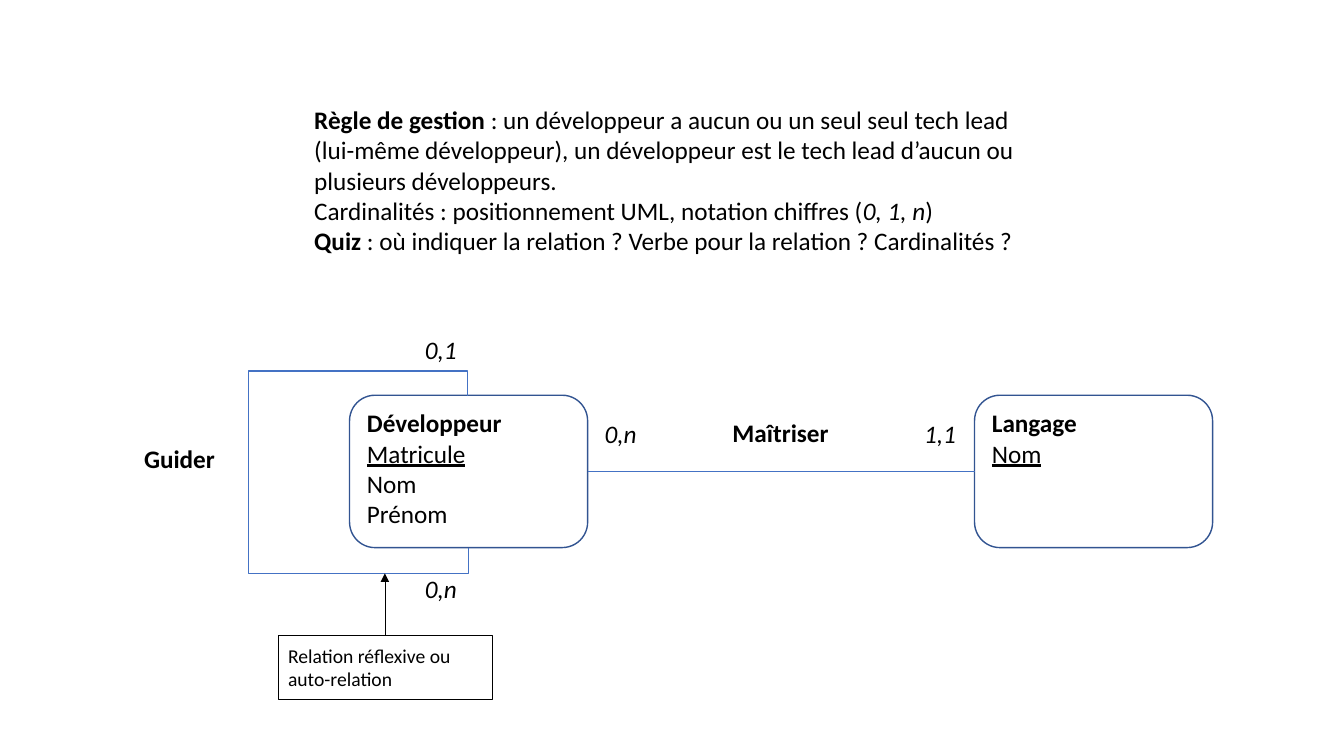
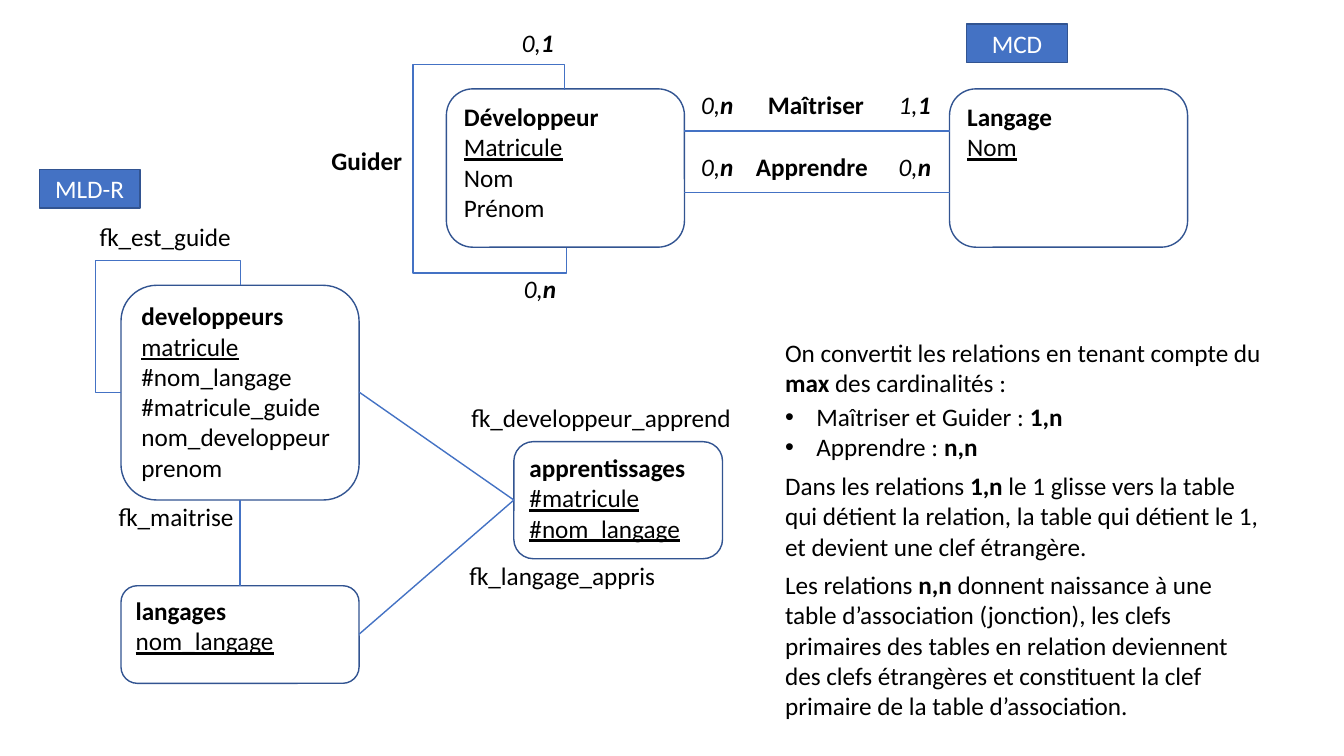
from itertools import groupby
from lxml.etree import SubElement
from pptx import Presentation
from pptx.dml.color import RGBColor
from pptx.enum.shapes import MSO_CONNECTOR, MSO_SHAPE
from pptx.enum.text import MSO_ANCHOR, MSO_AUTO_SIZE, PP_ALIGN
from pptx.oxml.ns import qn
from pptx.util import Cm, Pt

HUES = {"ink": "000000", "paper": "FFFFFF", "blue": "4472C4", "edge": "325491"}
MARKS = {"*": "bold", "~": "italic", "^": "underline"}
DEV = ["*Développeur", "^Matricule", "Nom", "Prénom"]
LANG = ["*Langage", "^Nom"]


def hue(name):
    return RGBColor.from_string(HUES[name])


def apply(item, form):
    for name, value in form.items():
        setattr(item, name, value)


class Deck:
    font = {"name": "Calibri", "size": Pt(18)}
    label = {"word_wrap": False, "auto_size": MSO_AUTO_SIZE.SHAPE_TO_FIT_TEXT}
    block = {"word_wrap": True, "auto_size": MSO_AUTO_SIZE.NONE,
             "vertical_anchor": MSO_ANCHOR.TOP}
    middle = {**block, "vertical_anchor": MSO_ANCHOR.MIDDLE}

    def __init__(self):
        self.show = Presentation()
        apply(self.show, {"slide_width": Cm(33.87), "slide_height": Cm(19.05)})

    def page(self, layout):
        self.slide = self.show.slides.add_slide(self.show.slide_layouts[layout])
        self.shapes = self.slide.shapes

    def put(self, frame, lines, form, size=18, ink="ink", align=PP_ALIGN.LEFT):
        apply(frame, form)
        for num, line in enumerate(lines):
            para = frame.add_paragraph() if num else frame.paragraphs[0]
            para.alignment = align
            marks = set()
            for mark, chars in groupby(line, lambda c: c if c in MARKS else ""):
                if mark:
                    marks ^= {MARKS[mark]}
                    continue
                run = para.add_run()
                run.text = "".join(chars)
                apply(run.font, {**self.font, "size": Pt(size),
                                 **dict.fromkeys(marks, True)})
                run.font.color.rgb = hue(ink)

    def text(self, left, top, width, *lines, height=1.03, form=label):
        box = self.shapes.add_textbox(Cm(left), Cm(top), Cm(width), Cm(height))
        self.put(box.text_frame, lines, form)

    def pen(self, line, color, width):
        line.color.rgb = hue(color)
        line.width = Pt(width)

    def box(self, kind, area, fill=None, edge="edge", width=1):
        shape = self.shapes.add_shape(kind, *map(Cm, area))
        shape.shadow.inherit = False
        if fill:
            shape.fill.solid()
            shape.fill.fore_color.rgb = hue(fill)
        else:
            shape.fill.background()
        self.pen(shape.line, edge, width)
        return shape.text_frame

    def card(self, area, lines, fill=None):
        frame = self.box(MSO_SHAPE.ROUNDED_RECTANGLE, area, fill)
        self.put(frame, lines, self.block)

    def badge(self, left, top, name):
        frame = self.box(MSO_SHAPE.RECTANGLE, (left, top, 2.54, 0.97), "blue")
        self.put(frame, [name], self.middle, ink="paper", align=PP_ALIGN.CENTER)

    def note(self, area, text):
        frame = self.box(MSO_SHAPE.RECTANGLE, area, edge="ink", width=0.5)
        self.put(frame, [text], self.middle, size=14)

    def line(self, start, end, color="blue", width=1, arrow=False):
        link = self.shapes.add_connector(MSO_CONNECTOR.STRAIGHT, *map(Cm, start + end))
        self.pen(link.line, color, width)
        props = link._element.spPr
        if arrow:
            SubElement(props.find(qn("a:ln")), qn("a:tailEnd"), type="triangle")
        SubElement(props, qn("a:effectLst"))

    def loop(self, *points, width=1):
        spots = [(Cm(x), Cm(y)) for x, y in points]
        form = self.shapes.build_freeform(*spots[0])
        form.add_line_segments(spots[1:], close=False)
        shape = form.convert_to_shape()
        shape.shadow.inherit = False
        shape.fill.background()
        self.pen(shape.line, "blue", width)

    def body(self, area, items):
        title, body = self.slide.placeholders
        title._element.getparent().remove(title._element)
        apply(body, dict(zip(("left", "top", "width", "height"), map(Cm, area))))
        frame = body.text_frame
        self.put(frame, [text for text, *_ in items], self.block)
        for para, (_, gap, dot) in zip(frame.paragraphs, items):
            apply(para, {"space_before": Pt(gap), "space_after": Pt(0)})
            props = para._p.get_or_add_pPr()
            dent = Cm(0.79) if dot else 0
            props.set("marL", str(dent))
            props.set("indent", str(-dent))
            if dot:
                SubElement(props, qn("a:buFont"), typeface="Arial")
                SubElement(props, qn("a:buChar"), char="•")
            else:
                SubElement(props, qn("a:buNone"))


deck = Deck()

deck.page(6)
for holder in list(deck.slide.placeholders):
    holder._element.getparent().remove(holder._element)
deck.card((8.81, 9.96, 6, 3.84), DEV)
deck.card((24.56, 9.96, 6, 3.84), LANG, "paper")
deck.line((14.81, 11.88), (24.56, 11.88))
deck.text(23.04, 10.41, 1.32, "~1,1")
deck.text(14.99, 10.41, 1.32, "~0,n")
deck.text(18.21, 10.39, 2.95, "*Maîtriser")
deck.text(
    7.67, 2.51, 18.52,
    "*Règle de gestion *: un développeur a aucun ou un seul seul tech lead "
    "(lui-même développeur), un développeur est le tech lead d’aucun ou "
    "plusieurs développeurs.",
    "Cardinalités : positionnement UML, notation chiffres (~0, 1, n~)",
    "*Quiz* : où indiquer la relation ? Verbe pour la relation ? Cardinalités ?",
    height=4.11, form=Deck.block)
deck.loop((11.79, 9.98), (11.79, 9.35), (6.27, 9.35),
          (6.27, 14.45), (11.81, 14.45), (11.81, 13.82))
deck.text(3.38, 11.05, 2.31, "*Guider")
deck.note((7.01, 16, 5.41, 1.63), "Relation réflexive ou auto-relation")
deck.line((9.7, 16), (9.7, 14.45), "ink", 0.5, arrow=True)
deck.text(10.46, 14.33, 1.32, "~0,n")
deck.text(10.46, 8.31, 1.32, "~0,1")

deck.page(1)
deck.card((11.25, 2.24, 6, 3.99), DEV)
deck.card((23.93, 2.24, 6, 3.99), LANG, "paper")
links = [("*Maîtriser", 19.1, 2.95, "~1,*1"), ("*Apprendre", 18.8, 3.35, "~0,*n")]
for row, (verb, left, width, end) in enumerate(links):
    top = 2.13 + 1.55 * row
    deck.line((17.25, top + 1.17), (23.93, top + 1.17))
    deck.text(17.42, top, 1.32, "~0,*n")
    deck.text(left, top, width, verb)
    deck.text(22.4, top, 1.32, end)
deck.loop((14.22, 2.26), (14.22, 1.63), (10.41, 1.63),
          (10.41, 6.88), (14.27, 6.88), (14.27, 6.25))
deck.text(8.1, 3.53, 2.31, "*Guider")
deck.text(12.95, 6.76, 1.32, "~0,*n")
deck.text(12.9, 0.56, 1.32, "~0,*1")

deck.card((3.05, 7.19, 6, 5.41),
          ["*developpeurs", "^matricule", "#nom_langage", "#matricule_guide",
           "nom_developpeur", "prenom"])
deck.card((3.05, 14.76, 6, 2.46), ["*langages", "^nom_langage"], "paper")
deck.card((12.95, 11.13, 5.26, 2.95),
          ["*apprentissages", "^#matricule", "^#nom_langage"], "paper")
deck.loop((6.05, 7.19), (6.05, 6.55), (2.41, 6.55), (2.41, 9.88), (3.05, 9.88),
          width=0.5)
deck.line((6.05, 12.6), (6.05, 14.76))
for top in (9.88, 15.98):
    deck.line((9.05, top), (12.95, 12.6))
deck.text(2.74, 12.5, 3.43, "fk_maitrise")
deck.text(2.26, 5.46, 3.86, "fk_est_guide")
deck.text(11.63, 10.01, 7.14, "fk_developpeur_apprend")
deck.text(11.58, 14, 5.26, "fk_langage_appris")
deck.body((19.53, 8.36, 12.62, 10.03), [
    ("On convertit les relations en tenant compte du *max* des cardinalités :", 0, False),
    ("Maîtriser et Guider : *1,n", 3, True),
    ("Apprendre : *n,n", 0, True),
    ("Dans les relations *1,n* le 1 glisse vers la table qui détient la relation, "
     "la table qui détient le 1, et devient une clef étrangère.", 6, False),
    ("Les relations *n,n* donnent naissance à une table d’association (jonction), "
     "les clefs primaires des tables en relation deviennent des clefs étrangères et "
     "constituent la clef primaire de la table d’association.", 6, False)])
deck.badge(24.36, 0.61, "MCD")
deck.badge(0.99, 4.27, "MLD-R")

deck.show.save("out.pptx")
